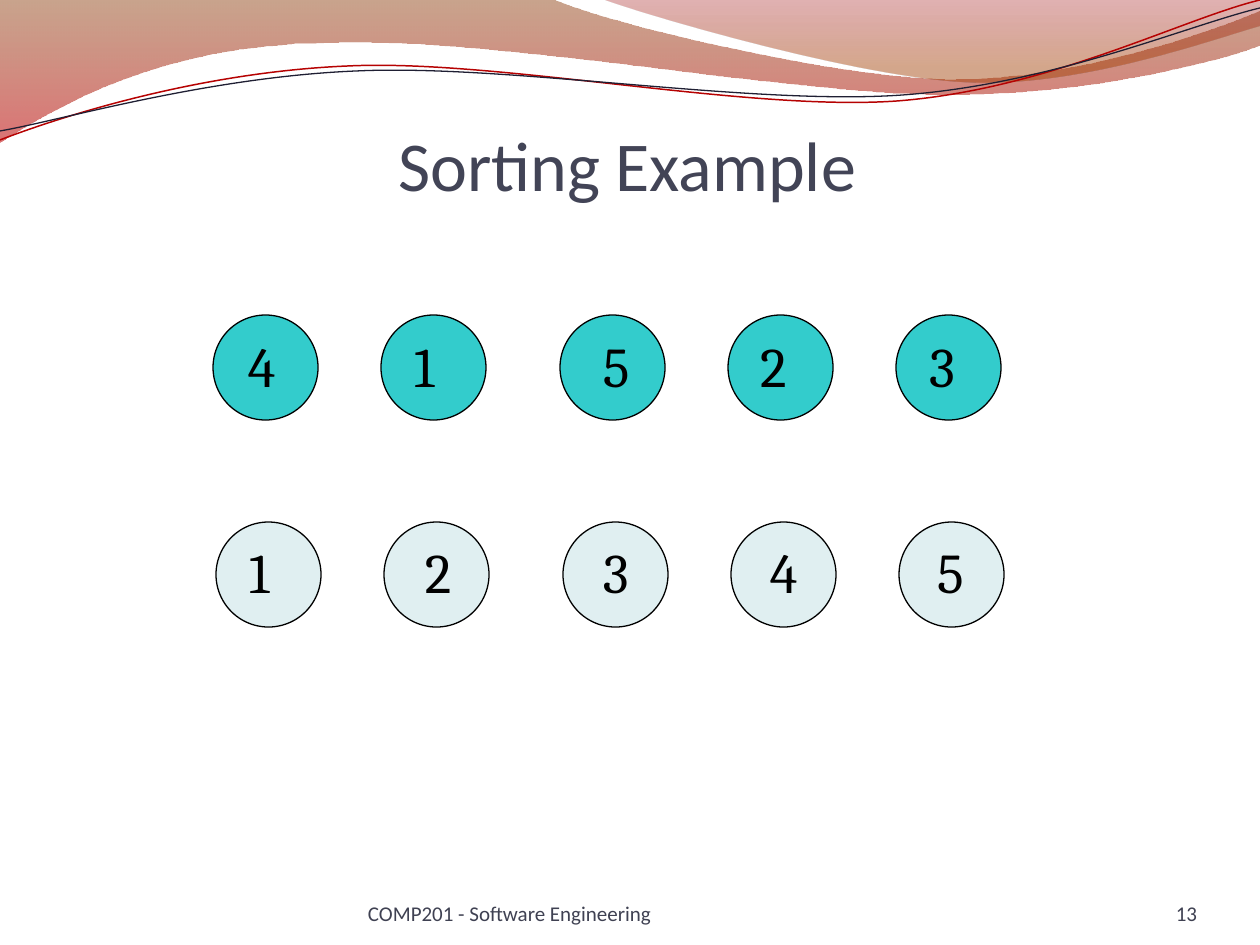
from lxml import etree
from pptx import Presentation
from pptx.dml.color import RGBColor
from pptx.enum.shapes import MSO_SHAPE
from pptx.enum.text import MSO_ANCHOR, PP_ALIGN
from pptx.oxml.ns import qn
from pptx.util import Pt

OVAL = MSO_SHAPE.OVAL
BOTTOM, TOP = MSO_ANCHOR.BOTTOM, MSO_ANCHOR.TOP
LEFT, CENTER, RIGHT = PP_ALIGN.LEFT, PP_ALIGN.CENTER, PP_ALIGN.RIGHT
SCALE = 914400 / 126  # EMU per px

COLORS = {
    "title": "424456", "footer": "3F4152", "ink": "000000",
    "unsorted": "33CCCC", "sorted": "E0EFF1",
    "brown": "883400", "red": "BD0000", "maroon": "9A0000", "rust": "A23E00",
    "red line": "B60202", "navy line": "1F1F33",
}


def px(length):
    return round(length * SCALE)


def write(box, bounds, text, size, font, color, align, anchor, insets):
    """Place a text holder and format its single paragraph."""
    box.left, box.top, box.width, box.height = map(px, bounds)
    frame = box.text_frame
    frame.text = text
    frame.word_wrap = True
    frame.vertical_anchor = anchor
    (frame.margin_left, frame.margin_top,
     frame.margin_right, frame.margin_bottom) = map(px, insets)
    para = frame.paragraphs[0]
    para.alignment = align
    span = para.runs[0]
    span.font.size = Pt(size)
    span.font.name = font
    span.font.color.rgb = RGBColor.from_string(COLORS[color])


deck = Presentation()
deck.slide_width, deck.slide_height = px(1260), px(945)
page = deck.slides.add_slide(deck.slide_layouts[5])
shapes = page.shapes

# Header waves: a segment is one point (straight) or three (Bezier curve).
# Fills are gradient stops (position, color, opacity %); lines are (color, width).
waves = [
    {"start": (0, 0),
     "segments": [[(554, 0)],
                  [(600, 21), (837, 79), (955, 79)],
                  [(1075, 79), (1207, 33), (1260, 11)],
                  [(1260, 45)],
                  [(1238, 55), (1096, 96), (940, 94)],
                  [(784, 94), (481, 35), (324, 43)],
                  [(163, 45), (58, 105), (0, 142)]],
     "stops": [(0, "brown", 45), (1, "red", 55)]},
    {"start": (604, 0),
     "segments": [[(641, 14), (859, 78), (969, 82)],
                  [(1079, 87), (1211, 40), (1260, 26)],
                  [(1260, 0)]],
     "stops": [(0, "maroon", 30), (0.8, "rust", 45)]},
    {"start": (0, 140),
     "segments": [[(60, 117), (199, 72), (349, 66)],
                  [(498, 59), (747, 112), (898, 101)],
                  [(1050, 89), (1182, 19), (1260, 0)]],
     "line": ("red line", 0.85)},
    {"start": (0, 131),
     "segments": [[(59, 121), (207, 77), (357, 71)],
                  [(508, 64), (752, 106), (903, 95)],
                  [(1053, 84), (1186, 26), (1260, 8)]],
     "line": ("navy line", 0.75)},
]
for wave in waves:
    builder = shapes.build_freeform(*map(px, wave["start"]))
    ends = [tuple(map(px, segment[-1])) for segment in wave["segments"]]
    builder.add_line_segments(ends, close="stops" in wave)
    ribbon = builder.convert_to_shape()
    ribbon.shadow.inherit = False

    # Bend the straight segments that have control points
    steps = list(ribbon._element.spPr.iter(qn("a:lnTo")))
    for step, segment in zip(steps, wave["segments"]):
        if len(segment) == 3:
            curve = etree.Element(qn("a:cubicBezTo"))
            for x, y in segment:
                point = etree.SubElement(curve, qn("a:pt"))
                point.set("x", str(px(x) - ribbon.left))
                point.set("y", str(px(y) - ribbon.top))
            step.getparent().replace(step, curve)

    if "stops" in wave:
        ribbon.line.fill.background()
        ribbon.fill.gradient()
        ribbon.fill.gradient_angle = 270
        for stop, (position, color, _) in zip(ribbon.fill.gradient_stops, wave["stops"]):
            stop.position = position
            stop.color.rgb = RGBColor.from_string(COLORS[color])
        tints = ribbon._element.spPr.iter(qn("a:srgbClr"))
        for tint, (_, _, opacity) in zip(tints, wave["stops"]):
            etree.SubElement(tint, qn("a:alpha")).set("val", str(opacity * 1000))
    else:
        color, width = wave["line"]
        ribbon.fill.background()
        ribbon.line.color.rgb = RGBColor.from_string(COLORS[color])
        ribbon.line.width = Pt(width)

# Title
write(shapes.title, (60, 99, 1134, 107), "Sorting Example", 40, "Calibri",
      "title", CENTER, BOTTOM, (0, 6, 0, 0))

# Number circles: row left, top, color, then (digit, digit box offset)
DIAMETER = 105
COLUMNS = (0, 168, 347, 515, 683)
rows = [
    (213, 315, "unsorted", [("4", 23), ("1", 21), ("5", 31), ("2", 20), ("3", 21)]),
    (216, 522, "sorted", [("1", 21), ("2", 29), ("3", 28), ("4", 27), ("5", 26)]),
]
for row_left, top, color, digits in rows:
    for column, (digit, offset) in zip(COLUMNS, digits):
        left = row_left + column
        circle = shapes.add_shape(OVAL, px(left), px(top), px(DIAMETER), px(DIAMETER))
        circle.shadow.inherit = False
        circle.fill.solid()
        circle.fill.fore_color.rgb = RGBColor.from_string(COLORS[color])
        circle.line.color.rgb = RGBColor.from_string(COLORS["ink"])
        circle.line.width = Pt(0.75)
        write(shapes.add_textbox(0, 0, 0, 0),
              (left + offset, top + 10, DIAMETER - offset, 79),
              digit, 32, "Cambria", "ink", LEFT, TOP, (12, 6, 12, 6))

# Page number and footer
for left, width, text, align in [(1092, 105, "13", RIGHT),
                                 (368, 462, "COMP201 - Software Engineering", LEFT)]:
    write(shapes.add_textbox(0, 0, 0, 0), (left, 876, width, 50), text, 12,
          "Calibri", "footer", align, BOTTOM, (0, 0, 0, 0))

deck.save("out.pptx")
